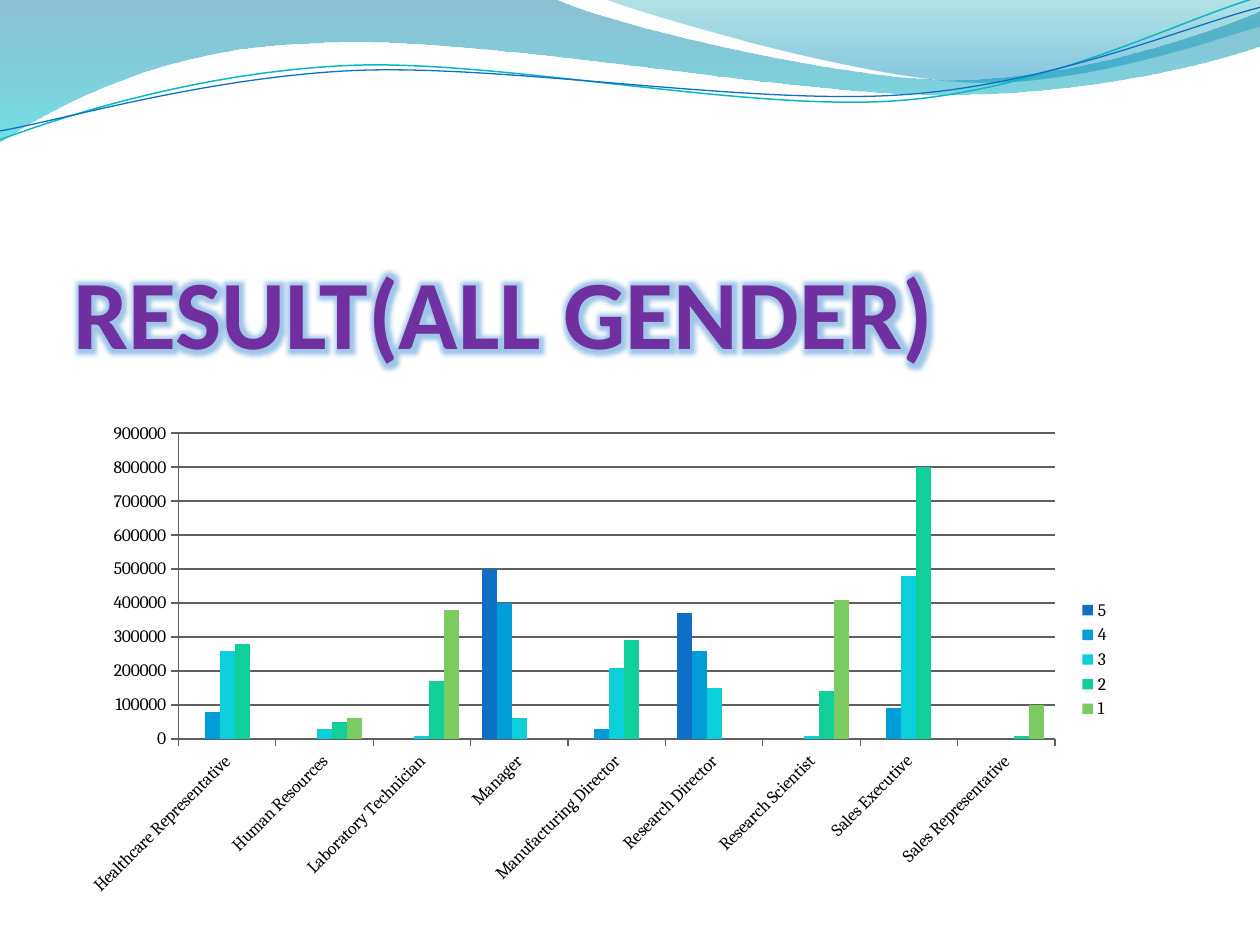
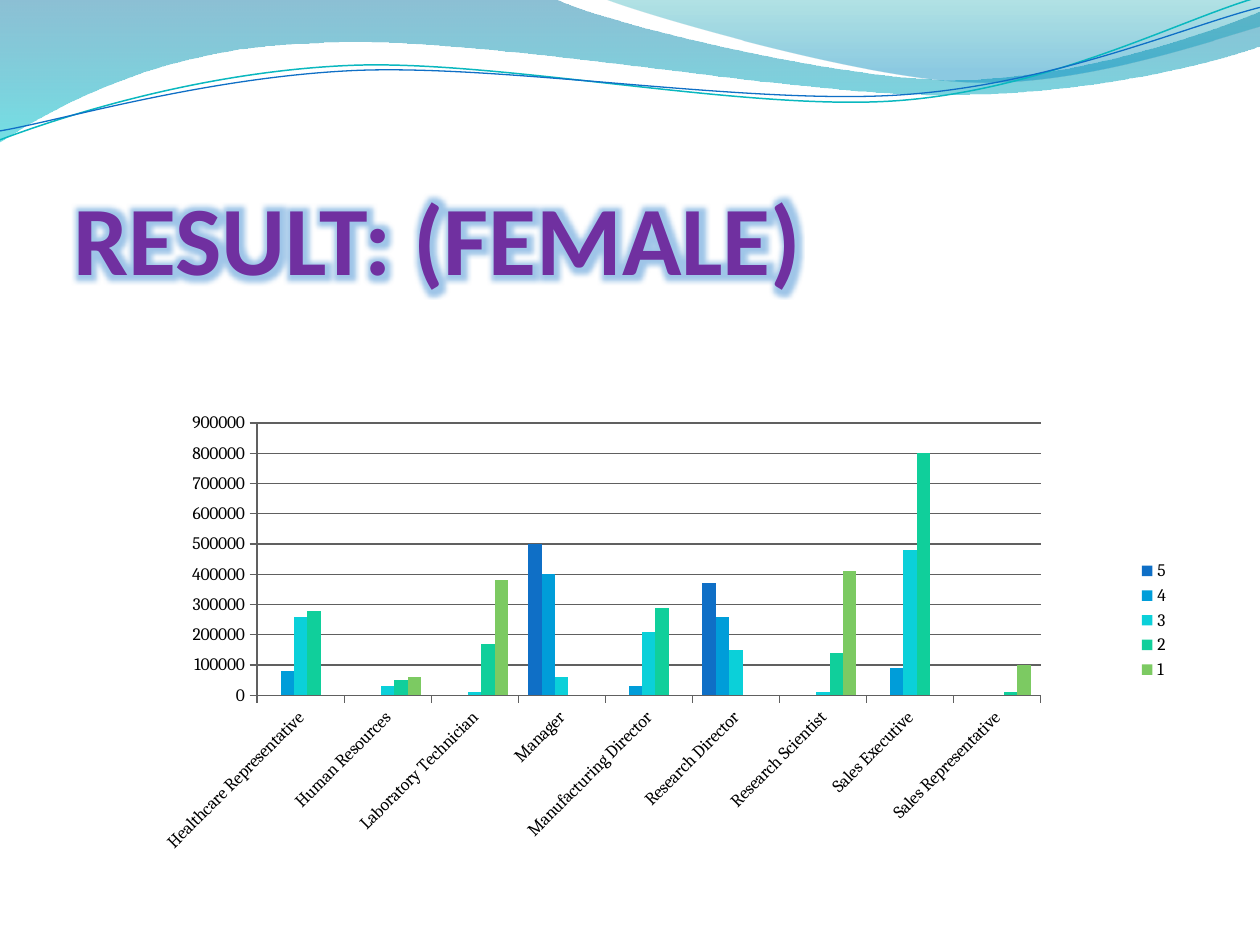
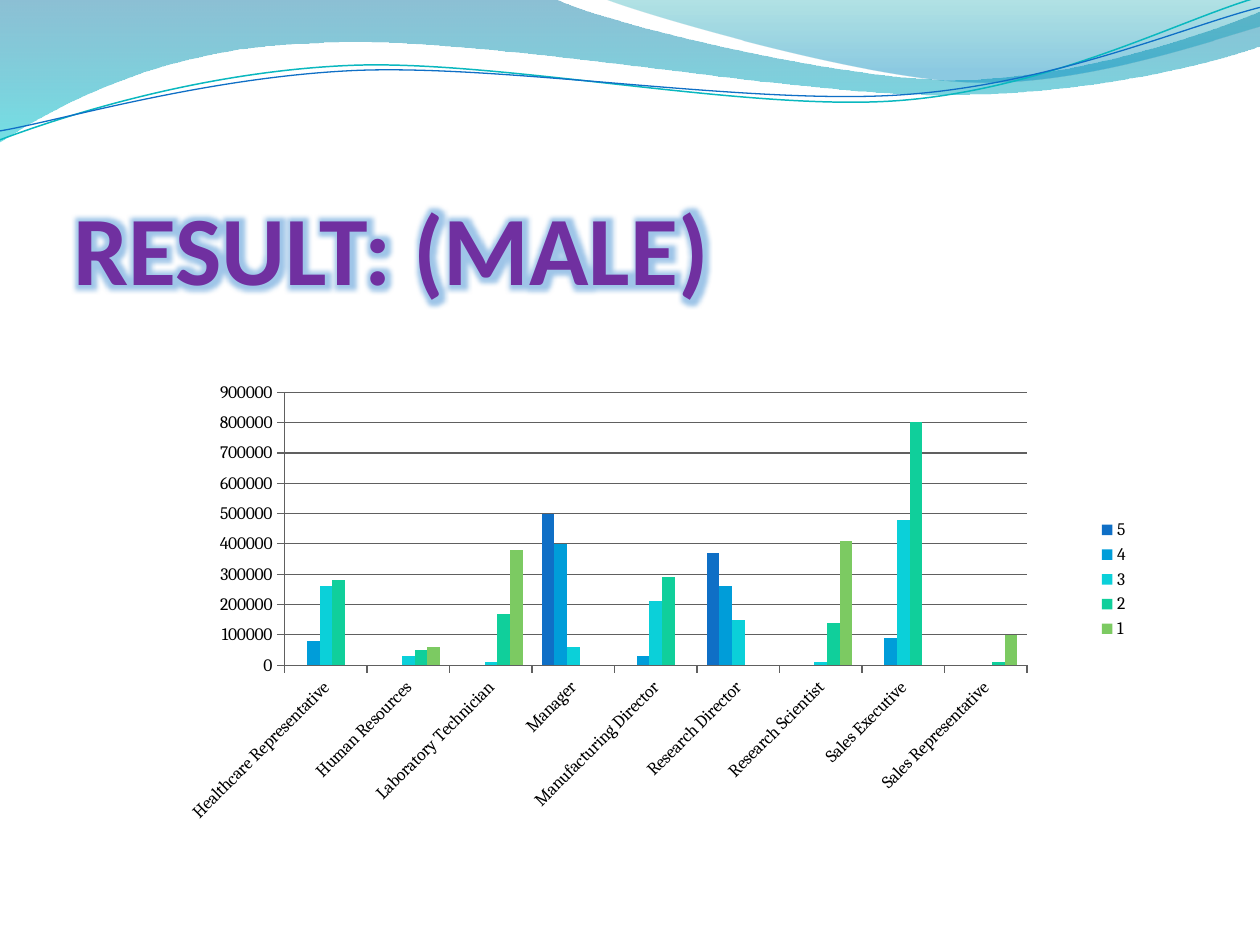
from lxml import etree
from pptx import Presentation
from pptx.chart.data import CategoryChartData
from pptx.dml.color import RGBColor
from pptx.enum.chart import XL_CHART_TYPE as ChartType
from pptx.enum.chart import XL_LEGEND_POSITION as LegendPosition
from pptx.enum.chart import XL_TICK_MARK as TickMark
from pptx.enum.text import MSO_ANCHOR as Anchor
from pptx.enum.text import MSO_AUTO_SIZE as AutoSize
from pptx.enum.text import PP_ALIGN as Align
from pptx.oxml.ns import qn
from pptx.util import Cm, Pt

# Shared colours and fonts
BLACK = RGBColor(0x00, 0x00, 0x00)
PURPLE = RGBColor(0x70, 0x30, 0xA0)
BLUE = RGBColor(0x0F, 0x6F, 0xC6)
SKY = RGBColor(0x00, 0x9D, 0xD9)
CYAN = RGBColor(0x0B, 0xD0, 0xD9)
MINT = RGBColor(0x10, 0xCF, 0x9B)
GREEN = RGBColor(0x7C, 0xCA, 0x62)
TEAL = RGBColor(0x0A, 0xB8, 0xBF)
GRID_GREY = RGBColor(0x60, 0x60, 0x60)
BAND_TOP = RGBColor(0x00, 0x74, 0xA1)
BAND_BOTTOM = RGBColor(0x00, 0xC6, 0xCF)
CREST_TOP = RGBColor(0x00, 0xA1, 0xA9)
CREST_BOTTOM = RGBColor(0x00, 0x8B, 0xBF)
TITLE_FONT = "Calibri"
CHART_FONT = "Cambria"

# Waves in cm: a start point, then segments of one point (line) or three (cubic curve)
BAND = [
    [(0, 0)],
    [(11.18, -0.03)],
    [(12.09, 0.43), (16.87, 1.6), (19.25, 1.6)],
    [(21.67, 1.6), (24.33, 0.66), (25.4, 0.23)],
    [(25.43, 0.91)],
    [(24.97, 1.12), (22.1, 1.93), (18.95, 1.91)],
    [(15.8, 1.91), (9.7, 0.71), (6.53, 0.86)],
    [(3.28, 0.91), (1.17, 2.11), (-0.03, 2.87)],
    [(0, 0)],
]
CREST = [
    [(12.17, -0.03)],
    [(12.93, 0.28), (17.32, 1.57), (19.53, 1.65)],
    [(21.74, 1.75), (24.41, 0.81), (25.4, 0.53)],
    [(25.4, 0)],
    [(12.17, -0.03)],
]
TEAL_LINE = [
    [(0, 2.82)],
    [(1.22, 2.36), (4.01, 1.45), (7.04, 1.32)],
    [(10.03, 1.19), (15.06, 2.26), (18.11, 2.03)],
    [(21.16, 1.8), (23.83, 0.38), (25.35, -0.05)],
]
BLUE_LINE = [
    [(0, 2.64)],
    [(1.19, 2.44), (4.17, 1.55), (7.19, 1.42)],
    [(10.24, 1.3), (15.16, 2.13), (18.21, 1.91)],
    [(21.23, 1.7), (23.9, 0.53), (25.4, 0.15)],
]
# Gradient stops: colour, position, opacity in percent
FILLED_WAVES = [
    (BAND, [(BAND_TOP, 0, 45), (BAND_BOTTOM, 1, 55)]),
    (CREST, [(CREST_TOP, 0, 30), (CREST_BOTTOM, 0.8, 45)]),
]
LINE_WAVES = [(TEAL_LINE, TEAL, 0.85), (BLUE_LINE, BLUE, 0.75)]

# Chart data
JOB_ROLES = [
    "Healthcare Representative", "Human Resources", "Laboratory Technician",
    "Manager", "Manufacturing Director", "Research Director",
    "Research Scientist", "Sales Executive", "Sales Representative",
]
JOB_LEVELS = [
    ("5", BLUE, [None, None, None, 500000, None, 370000, None, None, None]),
    ("4", SKY, [80000, None, None, 400000, 30000, 260000, None, 90000, None]),
    ("3", CYAN, [260000, 30000, 10000, 60000, 210000, 150000, 10000, 480000, None]),
    ("2", MINT, [280000, 50000, 170000, None, 290000, None, 140000, 800000, 10000]),
    ("1", GREEN, [None, 60000, 380000, None, None, None, 410000, None, 100000]),
]
# Title, title height (cm), chart frame (cm), plot area (percent of the chart)
RESULTS = [
    ("RESULT(ALL GENDER)", 3.78, (1.4, 8.33, 21.23, 9.93), (10.35, 4.05, 83.25, 62.1)),
    ("RESULT: (FEMALE)", 2.29, (1.2, 6.55, 22.63, 11.91), (17.6, 16.6, 69.8, 46.1)),
    ("RESULT: (MALE)", 2.49, (1.58, 5.71, 21.44, 11.94), (19.4, 18.4, 69.8, 46.1)),
]


def draw_wave(shapes, outline, close):
    """Draw an outline as a freeform with true cubic curves."""
    points = [(Cm(x), Cm(y)) for segment in outline for x, y in segment]
    builder = shapes.build_freeform(*points[0])
    builder.add_line_segments(points[1:], close=close)
    wave = builder.convert_to_shape()
    wave.shadow.inherit = False
    # Join the three lines of each curve segment into one curve
    lines = iter(wave.element.xpath(".//a:lnTo"))
    for segment in outline[1:]:
        steps = [next(lines) for point in segment]
        if len(steps) == 3:
            curve = etree.Element(qn("a:cubicBezTo"))
            steps[0].addprevious(curve)
            for step in steps:
                curve.append(step[0])
                step.getparent().remove(step)
    return wave


def add_child(parent, tag, **attributes):
    values = {name: str(value) for name, value in attributes.items()}
    return etree.SubElement(parent, qn(tag), values)


presentation = Presentation()
presentation.slide_width = Cm(25.4)
presentation.slide_height = Cm(19.05)
title_only = presentation.slide_layouts[5]
slides = [presentation.slides.add_slide(title_only) for result in RESULTS]

# Waves, drawn once and moved to the master
waves = []
for outline, stops in FILLED_WAVES:
    wave = draw_wave(slides[0].shapes, outline, close=True)
    wave.line.fill.background()
    wave.fill.gradient()
    wave.fill.gradient_angle = 270
    for stop, (color, position, opacity) in zip(wave.fill.gradient_stops, stops):
        stop.color.rgb = color
        stop.position = position
    for color_element, stop in zip(wave.element.iter(qn("a:srgbClr")), stops):
        add_child(color_element, "a:alpha", val=stop[2] * 1000)
    waves.append(wave)
for outline, color, width in LINE_WAVES:
    wave = draw_wave(slides[0].shapes, outline, close=False)
    wave.fill.background()
    wave.line.color.rgb = color
    wave.line.width = Pt(width)
    waves.append(wave)
master_tree = presentation.slide_master.shapes.element
for index, wave in enumerate(waves):
    wave.element.xpath(".//p:cNvPr")[0].set("id", str(100 + index))
    master_tree.insert(2 + index, wave.element)

# The same data feeds every chart
chart_data = CategoryChartData()
chart_data.categories = JOB_ROLES
for level, color, values in JOB_LEVELS:
    chart_data.add_series(level, values)

for slide, (heading, title_height, frame, plot_area) in zip(slides, RESULTS):
    # Title with a soft blue glow
    title = slide.shapes.title
    title.left, title.top = Cm(1.48), Cm(3.66)
    title.width, title.height = Cm(21.59), Cm(title_height)
    text_frame = title.text_frame
    text_frame.margin_left = text_frame.margin_right = 0
    text_frame.margin_top = text_frame.margin_bottom = 0
    text_frame.vertical_anchor = Anchor.BOTTOM
    text_frame.word_wrap = True
    text_frame.auto_size = AutoSize.NONE
    paragraph = text_frame.paragraphs[0]
    paragraph.alignment = Align.LEFT
    run = paragraph.add_run()
    run.text = heading
    run.font.name = TITLE_FONT
    run.font.size = Pt(56)
    run.font.bold = True
    run.font.color.rgb = PURPLE
    text_fill = title.element.xpath(".//a:rPr/a:solidFill")[0]
    effects = etree.Element(qn("a:effectLst"))
    glow = add_child(effects, "a:glow", rad=Pt(10))
    glow_color = add_child(glow, "a:srgbClr", val=BLUE)
    add_child(glow_color, "a:alpha", val=40000)
    text_fill.addnext(effects)

    # Clustered column chart
    chart = slide.shapes.add_chart(
        ChartType.COLUMN_CLUSTERED, *[Cm(length) for length in frame], chart_data
    ).chart
    chart.has_title = False
    chart.font.name = CHART_FONT
    chart.font.size = Pt(10)
    chart.font.color.rgb = BLACK
    chart.has_legend = True
    chart.legend.position = LegendPosition.RIGHT
    chart.legend.include_in_layout = False
    plot = chart.plots[0]
    plot.gap_width = 150
    plot.overlap = 0
    plot.vary_by_categories = False
    for series, (level, color, values) in zip(plot.series, JOB_LEVELS):
        series.format.fill.solid()
        series.format.fill.fore_color.rgb = color
        series.invert_if_negative = False

    # Axes and grid
    value_axis, category_axis = chart.value_axis, chart.category_axis
    value_axis.minimum_scale = 0
    value_axis.maximum_scale = 900000
    value_axis.major_unit = 100000
    value_axis.has_major_gridlines = True
    for axis in (value_axis, category_axis):
        axis.major_tick_mark = TickMark.OUTSIDE
        axis.tick_labels.font.size = Pt(10)
    for lines in (value_axis, category_axis, value_axis.major_gridlines):
        lines.format.line.color.rgb = GRID_GREY
        lines.format.line.width = Pt(0.75)
    label_body = chart.element.xpath(".//c:catAx/c:txPr/a:bodyPr")[0]
    label_body.set("rot", str(-45 * 60000))

    # Fixed place of the plot area
    plot_element = chart.element.xpath(".//c:plotArea")[0]
    for old_layout in plot_element.findall(qn("c:layout")):
        plot_element.remove(old_layout)
    layout = etree.Element(qn("c:layout"))
    manual = add_child(layout, "c:manualLayout")
    add_child(manual, "c:layoutTarget", val="inner")
    add_child(manual, "c:xMode", val="edge")
    add_child(manual, "c:yMode", val="edge")
    for side, percent in zip("xywh", plot_area):
        add_child(manual, f"c:{side}", val=percent / 100)
    plot_element.insert(0, layout)

presentation.save("out.pptx")
